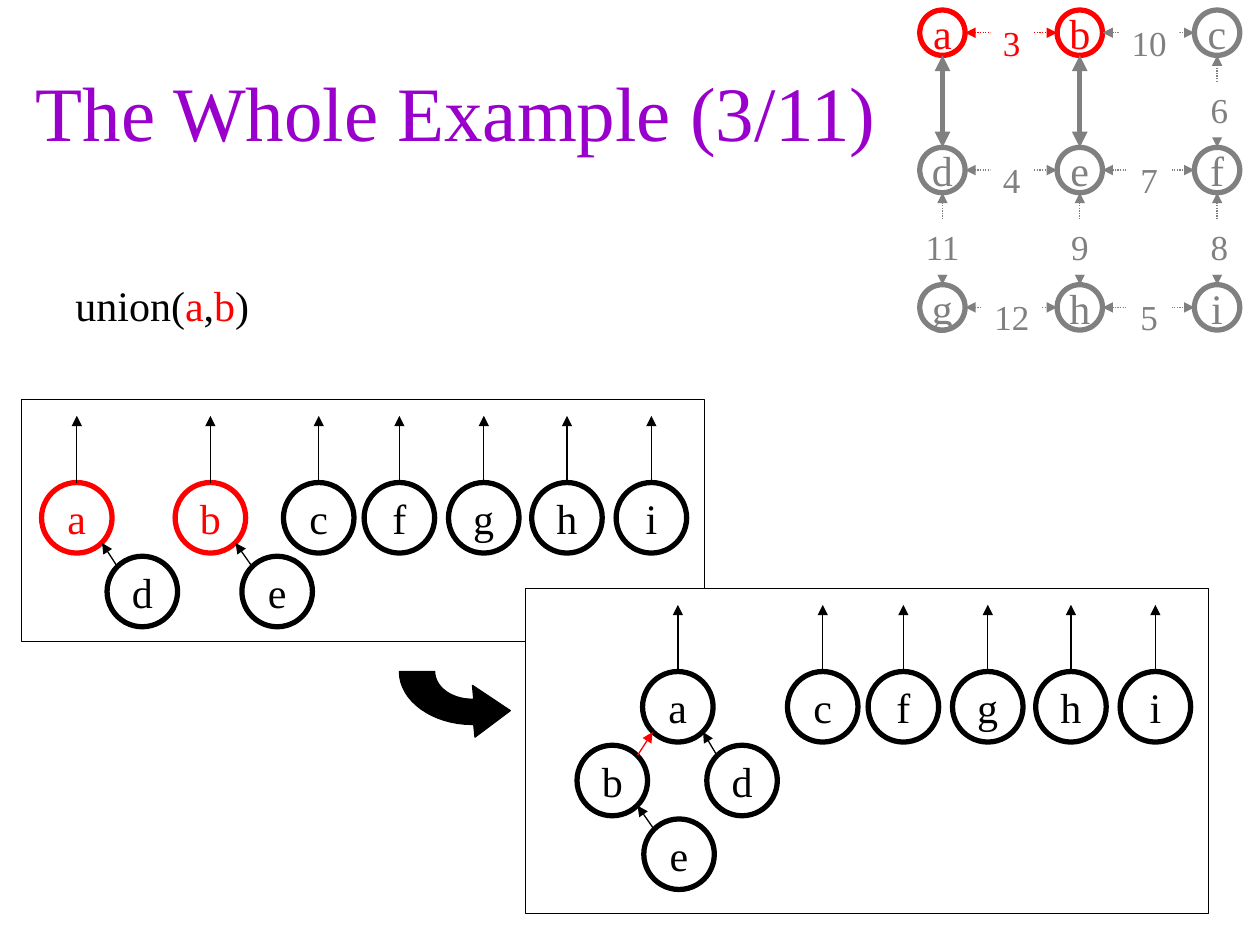
import dataclasses

import lxml.etree
import pptx
import pptx.dml.color
import pptx.enum.dml
import pptx.enum.shapes
import pptx.enum.text
import pptx.oxml.ns
import pptx.util

Inches = pptx.util.Inches
KIND = pptx.enum.shapes.MSO_SHAPE
FIT = pptx.enum.text.MSO_AUTO_SIZE
ANCHOR = pptx.enum.text.MSO_ANCHOR
ALIGN = pptx.enum.text.PP_ALIGN


@dataclasses.dataclass(frozen=True)
class Theme:
    font: str = "Times New Roman"
    black: str = "000000"
    white: str = "FFFFFF"
    red: str = "FF0000"
    gray: str = "808080"
    violet: str = "9900CC"
    title: int = 44
    body: int = 24
    label: int = 20
    thin: float = 0.75
    thick: float = 3


class Painter:
    """Draws styled elements on the current slide."""

    def __init__(self, theme, slide):
        self.theme = theme
        self.slide = slide
        self.shapes = slide.shapes

    def tint(self, color):
        return pptx.dml.color.RGBColor.from_string(color)

    def letter(self, shape, runs, size, **form):
        frame = shape.text_frame
        align = form.pop("align", ALIGN.CENTER)
        base = {"word_wrap": False, "auto_size": FIT.NONE,
                "vertical_anchor": ANCHOR.MIDDLE}
        for name, value in (base | form).items():
            setattr(frame, name, value)
        para = frame.paragraphs[0]
        para.alignment = align
        for text, color in runs:
            run = para.add_run()
            run.text = text
            style = {"name": self.theme.font, "size": pptx.util.Pt(size)}
            for name, value in style.items():
                setattr(run.font, name, value)
            run.font.color.rgb = self.tint(color)

    def paint(self, shape, fill=None, line=None, width=0.75):
        shape.shadow.inherit = False
        for part, color in ((shape.fill, fill), (shape.line.fill, line)):
            if color:
                part.solid()
                part.fore_color.rgb = self.tint(color)
            else:
                part.background()
        if line:
            shape.line.width = pptx.util.Pt(width)

    def shape(self, kind, box, **look):
        shape = self.shapes.add_shape(kind, *map(Inches, box))
        self.paint(shape, **look)
        return shape

    def title(self, text, box):
        shape = self.shapes.title
        for name, value in zip(("left", "top", "width", "height"), box):
            setattr(shape, name, Inches(value))
        self.letter(shape, [(text, self.theme.violet)], self.theme.title, word_wrap=True)

    def text(self, runs, box):
        shape = self.shapes.add_textbox(*map(Inches, box))
        self.letter(shape, runs, self.theme.body, align=ALIGN.LEFT,
                    vertical_anchor=ANCHOR.TOP, auto_size=FIT.SHAPE_TO_FIT_TEXT)

    def node(self, text, x, y, size, color):
        shape = self.shape(KIND.OVAL, (x, y, size, size), line=color,
                           width=self.theme.thick)
        self.letter(shape, [(text, color)], self.theme.body)
        return shape

    def label(self, text, mid, top, width, color, wrap):
        shape = self.shape(KIND.RECTANGLE, (mid - width / 2, top, width, 0.44),
                           fill=self.theme.white)
        self.letter(shape, [(text, color)], self.theme.label, word_wrap=wrap,
                    vertical_anchor=ANCHOR.TOP, auto_size=FIT.SHAPE_TO_FIT_TEXT)

    def arrow(self, start, end, color, width=0.75, dots=False, both=False, root=None):
        line = self.shapes.add_connector(
            pptx.enum.shapes.MSO_CONNECTOR.STRAIGHT, *map(Inches, (*start, *end)))
        if root is not None:
            line.begin_connect(root, 0)
        line.line.color.rgb = self.tint(color)
        line.line.width = pptx.util.Pt(width)
        if dots:
            line.line.dash_style = pptx.enum.dml.MSO_LINE.ROUND_DOT
        qn = pptx.oxml.ns.qn
        props = line._element.spPr
        for head in ("a:headEnd", "a:tailEnd") if both else ("a:tailEnd",):
            lxml.etree.SubElement(props.find(qn("a:ln")), qn(head), type="triangle")
        lxml.etree.SubElement(props, qn("a:effectLst"))

    def outline(self, points, color):
        first, *rest = [tuple(map(Inches, point)) for point in points]
        maker = self.shapes.build_freeform(*first, scale=1.0)
        maker.add_line_segments(rest, close=True)
        self.paint(maker.convert_to_shape(), fill=color, line=color)


def curve(a, b, c, d, steps=16):
    ts = [i / steps for i in range(steps + 1)]
    return [tuple((1 - t) ** 3 * p + 3 * t * (1 - t) ** 2 * q
                  + 3 * t * t * (1 - t) * r + t ** 3 * s
                  for p, q, r, s in zip(a, b, c, d)) for t in ts]


def draw_graph(pen):
    theme, left, top, step, size = pen.theme, 7.3, 0.08, 1.09, 0.36
    half = size / 2
    across = (("3", "10"), ("4", "7"), ("12", "5"))
    down = ((None, None, "6"), ("11", "9", "8"))
    widths = (0.49, 0.58, 0.3)
    labels = []
    for row, names in enumerate(("abc", "def", "ghi")):
        for col, name in enumerate(names):
            x, y = left + col * step, top + row * step
            mid, center = x + half, y + half
            pen.node(name, x, y, size, theme.red if name in "ab" else theme.gray)
            if col < 2:
                text = across[row][col]
                color = theme.red if text == "3" else theme.gray
                pen.arrow((x + size, center), (x + step, center), color,
                          dots=True, both=True)
                labels.append((text, mid + 0.55, y + 0.04,
                               0.2 + 0.14 * len(text), color, False))
            if row < 2:
                text = down[row][col]
                pen.arrow((mid, y + size), (mid, y + step), theme.gray,
                          theme.thin if text else theme.thick,
                          dots=bool(text), both=True)
                if text:
                    labels.append((text, mid, y + 0.57, widths[col], theme.gray, True))
    for label in labels:
        pen.label(*label)


def draw_forest(pen, left, top, roots, kids):
    theme, size, near, far = pen.theme, 0.56, 0.08, 0.48
    shared = {"c": 2.25, "f": 2.89, "g": 3.56, "h": 4.22, "i": 4.89}
    spots = {}
    for name, (x, color) in (roots | {k: (v, theme.black) for k, v in shared.items()}).items():
        x += left
        spots[name] = x, top
        root = pen.node(name, x, top, size, color)
        mid = x + size / 2
        pen.arrow((mid, top), (mid, top - 0.53), theme.black, root=root)
    for name, owner, x, level, color in kids:
        x, y = x + left, top + level * 0.585
        spots[name] = x, y
        pen.node(name, x, y, size, theme.black)
        px, py = spots[owner]
        start, end = (near, far) if x > px else (far, near)
        pen.arrow((x + start, y + near), (px + end, py + far), color)


def main():
    theme = Theme()
    deck = pptx.Presentation()
    deck.slide_width, deck.slide_height = Inches(10), Inches(7.5)
    pen = Painter(theme, deck.slides.add_slide(deck.slide_layouts[5]))
    black, red = theme.black, theme.red
    pen.shape(KIND.RECTANGLE, (0.17, 3.17, 5.42, 1.92), line=black)
    pen.shape(KIND.RECTANGLE, (4.17, 4.67, 5.42, 2.58), fill=theme.white, line=black)
    pen.title("The Whole Example (3/11)", (0.08, 0.25, 7.08, 1.25))
    pen.text([("union(", black), ("a", red), (",", black), ("b", red), (")", black)],
             (0.5, 2.17, 1.58, 0.5))
    draw_graph(pen)
    draw_forest(pen, 0, 3.83, {"a": (0.33, red), "b": (1.39, red)},
                [("d", "a", 0.85, 1, black), ("e", "b", 1.92, 1, black)])
    draw_forest(pen, 4, 5.33, {"a": (1.1, black)},
                [("b", "a", 0.58, 1, red), ("d", "a", 1.61, 1, black),
                 ("e", "b", 1.11, 2, black)])
    inner = curve((3.75, 5.55), (3.58, 5.55), (3.45, 5.45), (3.45, 5.33))
    outer = curve((3.17, 5.33), (3.17, 5.56), (3.43, 5.75), (3.75, 5.75))
    tip = [(3.76, 5.75), (3.77, 5.85), (4.05, 5.64), (3.75, 5.44), (3.76, 5.55)]
    pen.outline(inner + outer + tip, black)
    deck.save("out.pptx")


if __name__ == "__main__":
    main()
